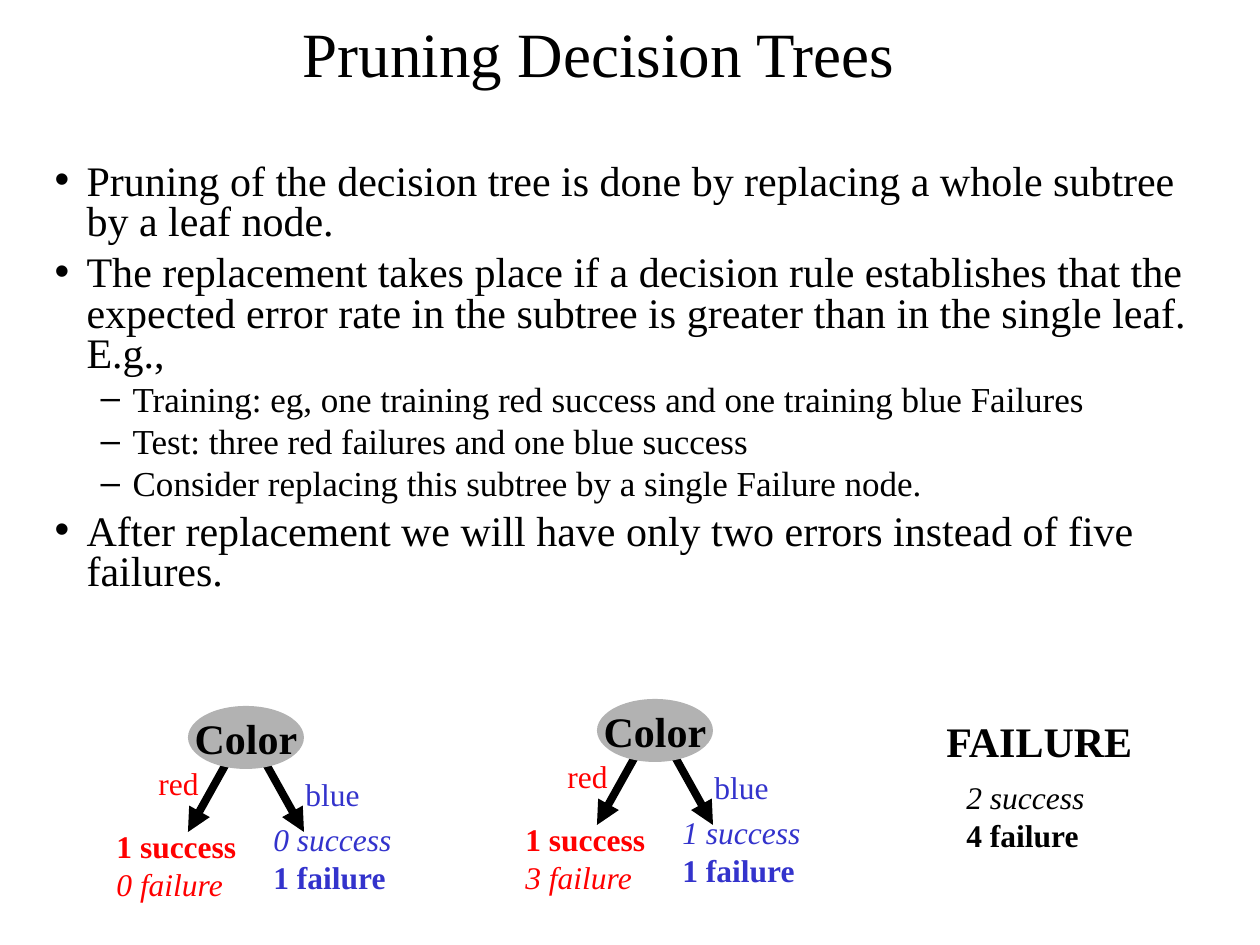
from lxml.etree import SubElement
from pptx import Presentation
from pptx.dml.color import RGBColor
from pptx.enum.shapes import MSO_CONNECTOR, MSO_SHAPE
from pptx.enum.text import MSO_ANCHOR, MSO_AUTO_SIZE as AutoSize, PP_ALIGN as Align
from pptx.oxml.ns import qn
from pptx.util import Pt

FONT = "Times New Roman"
BLACK, RED, BLUE, GREY = "000000", "FF0000", "3333CC", "B2B2B2"
PX_PER_INCH = 126

TITLE = "Pruning Decision Trees"
BULLETS = [
    (0, "Pruning of the decision tree is done by replacing a whole subtree by a leaf node."),
    (0, "The replacement takes place if a decision rule establishes that the expected "
        "error rate in the subtree is greater than in the single leaf. E.g.,"),
    (1, "Training: eg, one training red success and one training blue Failures"),
    (1, "Test: three red failures and one blue success"),
    (1, "Consider replacing this subtree by a single Failure node."),
    (0, "After replacement we will have only two errors instead of five failures."),
]
LEVELS = [
    {"size": 24, "before": 6, "margin": 32, "bullet": "•"},
    {"size": 20, "before": 5, "margin": 78, "bullet": "–"},
]
HANGING = 32
TREES = [
    {"at": (188, 706), "red": ("1 success", "0 failure"), "blue": ("0 success", "1 failure")},
    {"at": (597, 699), "red": ("1 success", "3 failure"), "blue": ("1 success", "1 failure")},
]
BRANCHES = [((53, 31), (0, 126)), ((63, 31), (116, 126))]
NODE_SIZE = (116, 63)


def px(value):
    return round(value * 914400 / PX_PER_INCH)


def colour(value):
    return RGBColor.from_string(value)


def place(shape, left, top, width, height):
    shape.left, shape.top, shape.width, shape.height = map(px, (left, top, width, height))


def write(paragraph, text, size=18, color=BLACK, bold=False, italic=False, align=Align.LEFT):
    paragraph.alignment = align
    run = paragraph.add_run()
    run.text = text
    font = run.font
    font.name, font.size, font.bold, font.italic = FONT, Pt(size), bold, italic
    font.color.rgb = colour(color)


def add_label(shapes, box, lines, **style):
    frame = shapes.add_textbox(*map(px, box)).text_frame
    frame.word_wrap = False
    frame.auto_size = AutoSize.SHAPE_TO_FIT_TEXT
    for index, (text, emphasis) in enumerate(lines):
        paragraph = frame.add_paragraph() if index else frame.paragraphs[0]
        write(paragraph, text, **style, **emphasis)


def counts(pair, bold_line):
    return [(text, {"bold": index == bold_line, "italic": index != bold_line})
            for index, text in enumerate(pair)]


def add_arrow(shapes, start, end):
    arrow = shapes.add_connector(MSO_CONNECTOR.STRAIGHT, *map(px, start + end))
    arrow.line.color.rgb = colour(BLACK)
    arrow.line.width = Pt(4.5)
    SubElement(arrow.line._get_or_add_ln(), qn("a:tailEnd"), type="triangle")
    SubElement(arrow._element.spPr, qn("a:effectLst"))


def add_tree(slide, tree):
    shapes = slide.shapes.add_group_shape().shapes
    left, top = tree["at"]
    for (start_x, start_y), (end_x, end_y) in BRANCHES:
        add_arrow(shapes, (left + start_x, top + start_y), (left + end_x, top + end_y))

    node = shapes.add_shape(MSO_SHAPE.OVAL, *map(px, (left, top) + NODE_SIZE))
    node.shadow.inherit = False
    node.fill.solid()
    node.fill.fore_color.rgb = colour(GREY)
    node.line.fill.background()
    node.text_frame.word_wrap = False
    node.text_frame.vertical_anchor = MSO_ANCHOR.MIDDLE
    write(node.text_frame.paragraphs[0], "Color", size=24, bold=True, align=Align.CENTER)

    add_label(shapes, (left - 84, top + 115, 145, 88), counts(tree["red"], 0), color=RED)
    add_label(shapes, (left + 73, top + 108, 144, 88), counts(tree["blue"], 1), color=BLUE)
    add_label(shapes, (left - 42, top + 52, 66, 50), [("red", {})], color=RED)
    add_label(shapes, (left + 105, top + 63, 79, 50), [("blue", {})], color=BLUE)


def fill_title(title):
    place(title, 63, 0, 1071, 105)
    title.text_frame.auto_size = AutoSize.NONE
    title.text_frame.vertical_anchor = MSO_ANCHOR.MIDDLE
    write(title.text_frame.paragraphs[0], TITLE, size=36, align=Align.CENTER)


def fill_body(body):
    place(body, 42, 158, 1176, 482)
    frame = body.text_frame
    frame.auto_size = AutoSize.NONE
    for index, (level, text) in enumerate(BULLETS):
        style = LEVELS[level]
        paragraph = frame.add_paragraph() if index else frame.paragraphs[0]
        paragraph.level = level
        paragraph.line_spacing = 0.8
        paragraph.space_before = Pt(style["before"])
        write(paragraph, text, size=style["size"])
        properties = paragraph._p.get_or_add_pPr()
        properties.set("marL", str(px(style["margin"])))
        properties.set("indent", str(-px(HANGING)))
        SubElement(properties, qn("a:buChar"), char=style["bullet"])


def main():
    presentation = Presentation()
    presentation.slide_width, presentation.slide_height = px(1260), px(945)
    slide = presentation.slides.add_slide(presentation.slide_layouts[1])
    fill_title(slide.shapes.title)
    fill_body(slide.placeholders[1])
    for tree in TREES:
        add_tree(slide, tree)
    add_label(slide.shapes, (954, 772, 144, 88), counts(("2 success", "4 failure"), 1))
    add_label(slide.shapes, (934, 709, 214, 63), [("FAILURE", {"bold": True})], size=24)
    presentation.save("out.pptx")


if __name__ == "__main__":
    main()
